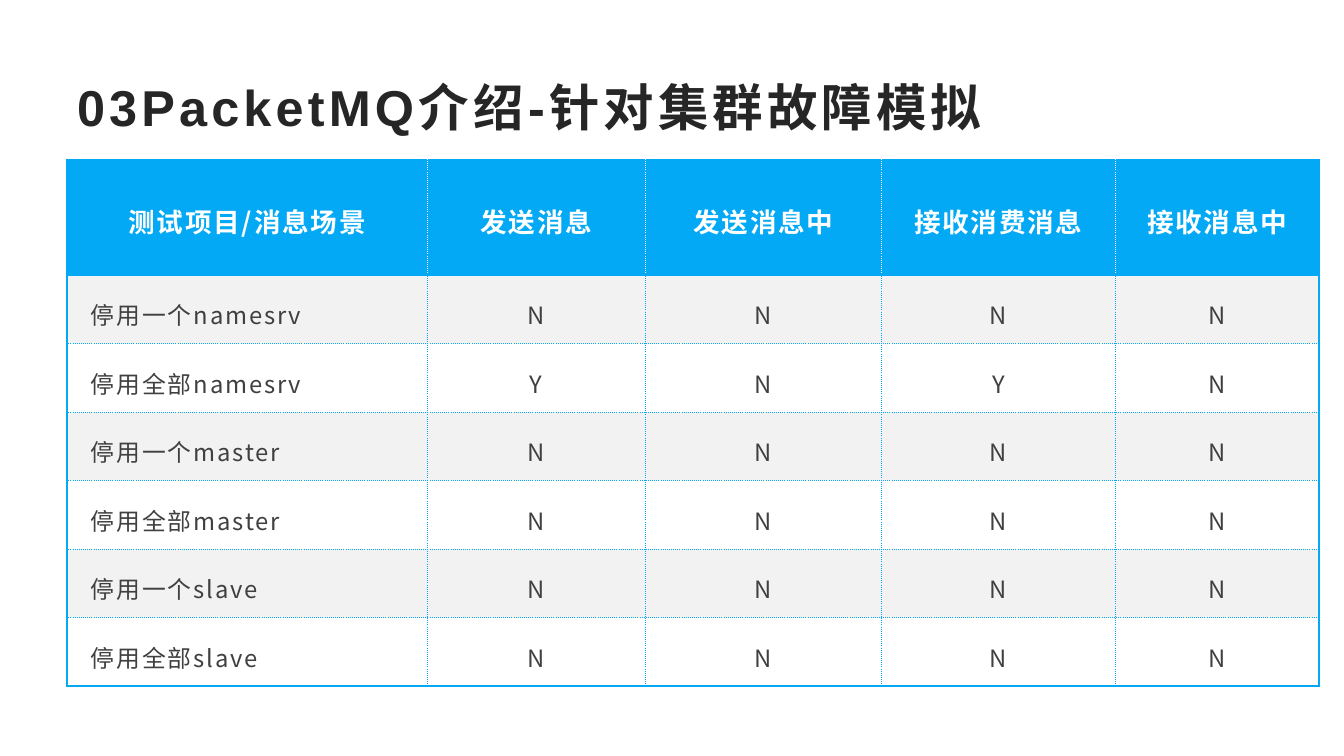
from dataclasses import dataclass

from lxml import etree
from pptx import Presentation
from pptx.dml.color import RGBColor
from pptx.enum import text
from pptx.oxml import ns
from pptx.util import Pt

BLUE = RGBColor(0x03, 0xA9, 0xF5)
WHITE = RGBColor(0xFF, 0xFF, 0xFF)
STRIPE = RGBColor(0xF2, 0xF2, 0xF2)
TITLE_INK = RGBColor(0x26, 0x26, 0x26)
BODY_INK = RGBColor(0x40, 0x40, 0x40)
CJK_FONT = "Noto Sans CJK SC"


@dataclass(frozen=True)
class TextStyle:
    """Character look; tracking is in hundredths of a point."""
    size: float
    font: str
    color: RGBColor
    bold: bool
    tracking: int


@dataclass(frozen=True)
class Border:
    """One edge of a cell."""
    color: RGBColor
    width: float
    dash: str


@dataclass(frozen=True)
class Scenario:
    """A stopped component and whether each message stage is affected."""
    action: str
    effects: str


TITLE = TextStyle(36, "Arial", TITLE_INK, True, 300)
HEADING = TextStyle(19, CJK_FONT, WHITE, True, 130)
BODY = TextStyle(17, CJK_FONT, BODY_INK, False, 130)

FRAME = Border(BLUE, 1.5, "solid")
INNER = Border(BLUE, 0.25, "sysDot")
HEADING_DIVIDER = Border(WHITE, 0.25, "sysDot")

HEADINGS = ["测试项目/消息场景", "发送消息", "发送消息中", "接收消费消息", "接收消息中"]
SCENARIOS = [
    Scenario("停用一个namesrv", "NNNN"),
    Scenario("停用全部namesrv", "YNYN"),
    Scenario("停用一个master", "NNNN"),
    Scenario("停用全部master", "NNNN"),
    Scenario("停用一个slave", "NNNN"),
    Scenario("停用全部slave", "NNNN"),
]
COLUMN_WIDTHS = [257, 156.2, 168.5, 167, 145.5]
HEADING_HEIGHT, ROW_HEIGHT = 82, 49


def style_paragraph(paragraph, style: TextStyle) -> None:
    """Format every run of a paragraph."""
    for run in paragraph.runs:
        font = run.font
        font.size, font.bold, font.name = Pt(style.size), style.bold, style.font
        font.color.rgb = style.color
        properties = run._r.get_or_add_rPr()
        properties.set("spc", str(style.tracking))
        etree.SubElement(properties, ns.qn("a:ea"), typeface=CJK_FONT)


def add_border(cell, side: str, border: Border) -> None:
    """Draw one edge of a cell; side is L, R, T or B."""
    line = etree.SubElement(cell._tc.get_or_add_tcPr(), ns.qn(f"a:ln{side}"),
                            w=str(Pt(border.width)))
    fill = etree.SubElement(line, ns.qn("a:solidFill"))
    etree.SubElement(fill, ns.qn("a:srgbClr"), val=str(border.color))
    etree.SubElement(line, ns.qn("a:prstDash"), val=border.dash)


def fill_cell(table, row: int, column: int, wording: str) -> None:
    """Write and format one cell according to its place in the table."""
    cell = table.cell(row, column)
    last_row, last_column = len(table.rows) - 1, len(table.columns) - 1
    divider = INNER if row else HEADING_DIVIDER
    add_border(cell, "L", divider if column else FRAME)
    add_border(cell, "R", divider if column < last_column else FRAME)
    add_border(cell, "T", INNER if row > 1 else FRAME)
    add_border(cell, "B", INNER if 0 < row < last_row else FRAME)

    cell.fill.solid()
    cell.fill.fore_color.rgb = (STRIPE if row % 2 else WHITE) if row else BLUE
    cell.vertical_anchor = text.MSO_ANCHOR.MIDDLE
    cell.margin_left = cell.margin_right = Pt(17)
    cell.margin_top = cell.margin_bottom = Pt(10.8)

    cell.text_frame.text = wording
    paragraph = cell.text_frame.paragraphs[0]
    paragraph.line_spacing = 1.2
    is_action = row > 0 and column == 0
    paragraph.alignment = text.PP_ALIGN.LEFT if is_action else text.PP_ALIGN.CENTER
    style_paragraph(paragraph, BODY if row else HEADING)


def add_title(slide, wording: str) -> None:
    """Place the slide heading."""
    frame = slide.shapes.add_textbox(Pt(48), Pt(48), Pt(864), Pt(55.5)).text_frame
    frame.word_wrap = True
    frame.vertical_anchor = text.MSO_ANCHOR.MIDDLE
    frame.text = wording
    style_paragraph(frame.paragraphs[0], TITLE)


def add_fault_table(slide) -> None:
    """Place the table of cluster fault scenarios."""
    rows = [HEADINGS] + [[item.action, *item.effects] for item in SCENARIOS]
    heights = [HEADING_HEIGHT] + [ROW_HEIGHT] * len(SCENARIOS)
    table = slide.shapes.add_table(
        len(rows), len(HEADINGS), Pt(48), Pt(114.2),
        Pt(sum(COLUMN_WIDTHS)), Pt(sum(heights))).table
    table.first_row = table.horz_banding = False
    for column, width in zip(table.columns, COLUMN_WIDTHS):
        column.width = Pt(width)
    for row, height in zip(table.rows, heights):
        row.height = Pt(height)
    for row, wordings in enumerate(rows):
        for column, wording in enumerate(wordings):
            fill_cell(table, row, column, wording)


presentation = Presentation()
presentation.slide_width, presentation.slide_height = Pt(960), Pt(540)
fault_slide = presentation.slides.add_slide(presentation.slide_layouts[6])
add_title(fault_slide, "03PacketMQ介绍-针对集群故障模拟")
add_fault_table(fault_slide)
presentation.save("out.pptx")
